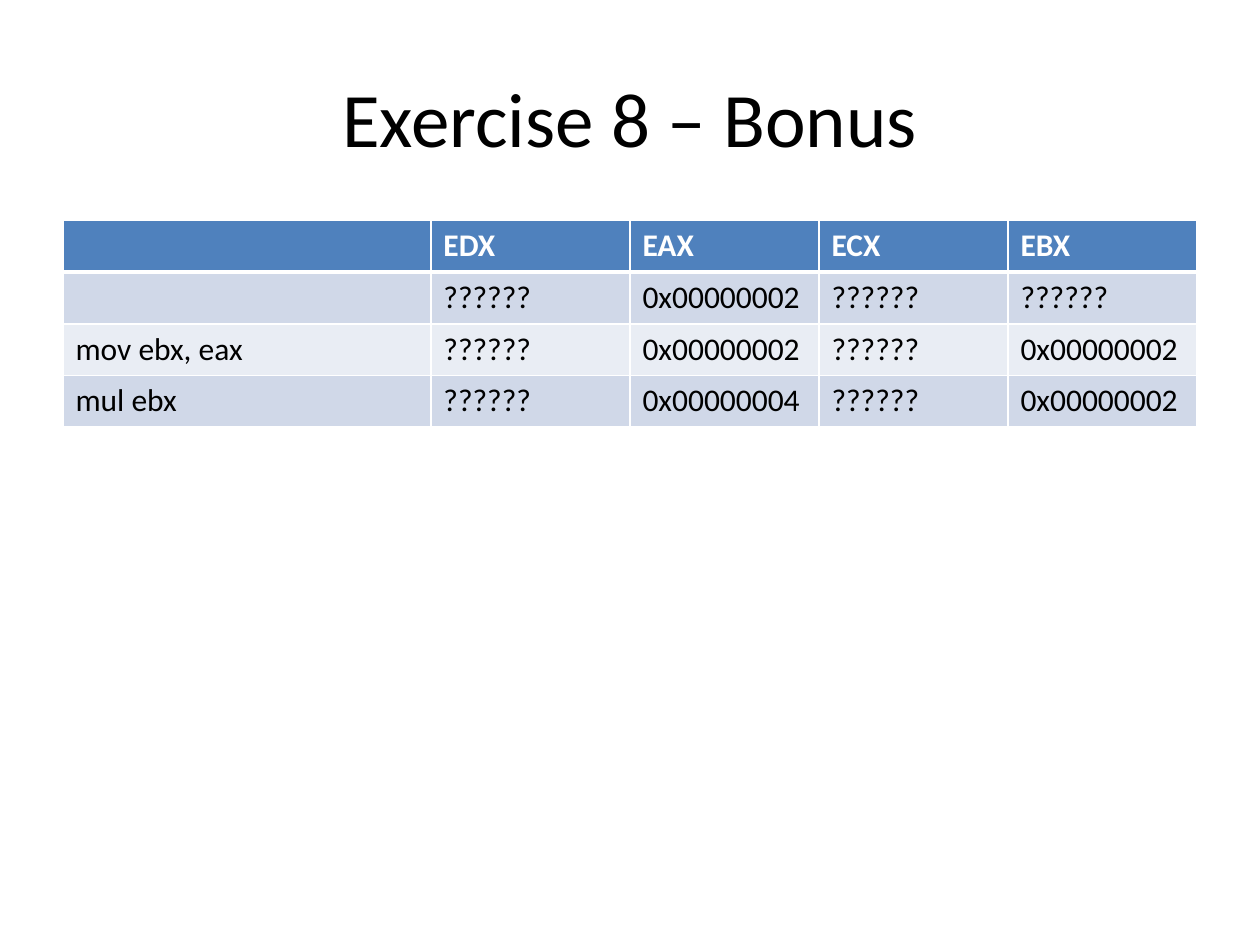
from lxml.etree import SubElement
from pptx import Presentation
from pptx.dml.color import RGBColor
from pptx.enum.text import MSO_ANCHOR, PP_ALIGN
from pptx.oxml.ns import qn
from pptx.util import Inches, Pt

# Content
TITLE = "Exercise 8 – Bonus"
UNKNOWN = "??????"
REGISTER_TRACE = [
    ("", "EDX", "EAX", "ECX", "EBX"),
    ("", UNKNOWN, "0x00000002", UNKNOWN, UNKNOWN),
    ("mov ebx, eax", UNKNOWN, "0x00000002", UNKNOWN, "0x00000002"),
    ("mul ebx", UNKNOWN, "0x00000004", UNKNOWN, "0x00000002"),
]
COLUMN_WIDTHS = (2.92, 1.58, 1.5, 1.5, 1.5)
ROW_HEIGHT = 0.41
HEADER_FILL, BAND_FILLS = "4F81BD", ("E9EDF4", "D0D8E8")


def color(value):
    return RGBColor.from_string(value)


def write(frame, text, size=18, ink="000000", bold=False, align=PP_ALIGN.LEFT):
    paragraph = frame.paragraphs[0]
    paragraph.alignment = align
    paragraph.font.size = Pt(size)
    if text:
        run = paragraph.add_run()
        run.text = text
        run.font.name = "Calibri"
        run.font.size = Pt(size)
        run.font.bold = bold
        run.font.color.rgb = color(ink)


def border(cell, side, points, ink="FFFFFF"):
    line = SubElement(cell._tc.get_or_add_tcPr(), qn(f"a:ln{side}"), w=str(Pt(points)))
    SubElement(SubElement(line, qn("a:solidFill")), qn("a:srgbClr"), val=ink)


presentation = Presentation()
presentation.slide_width, presentation.slide_height = Inches(10), Inches(7.5)
slide = presentation.slides.add_slide(presentation.slide_layouts[5])

# Title
title = slide.shapes.title
title.left, title.top = Inches(0.5), Inches(0.3)
title.width, title.height = Inches(9), Inches(1.25)
title.text_frame.vertical_anchor = MSO_ANCHOR.MIDDLE
write(title.text_frame, TITLE, size=44, align=PP_ALIGN.CENTER)

# Register table
registers = slide.shapes.add_table(
    len(REGISTER_TRACE), len(COLUMN_WIDTHS), Inches(0.5), Inches(1.75),
    Inches(sum(COLUMN_WIDTHS)), Inches(ROW_HEIGHT * len(REGISTER_TRACE))).table
for column, width in zip(registers.columns, COLUMN_WIDTHS):
    column.width = Inches(width)

for row, values in enumerate(REGISTER_TRACE):
    registers.rows[row].height = Inches(ROW_HEIGHT)
    header = row == 0
    for column, value in enumerate(values):
        cell = registers.cell(row, column)
        write(cell.text_frame, value, bold=header, ink="FFFFFF" if header else "000000")
        # The rule under the header is thicker than the grid
        for side, points in (("L", 1), ("R", 1), ("T", 3 if row == 1 else 1),
                             ("B", 3 if header else 1)):
            border(cell, side, points)
        cell.fill.solid()
        cell.fill.fore_color.rgb = color(HEADER_FILL if header else BAND_FILLS[row % 2])

presentation.save("out.pptx")
